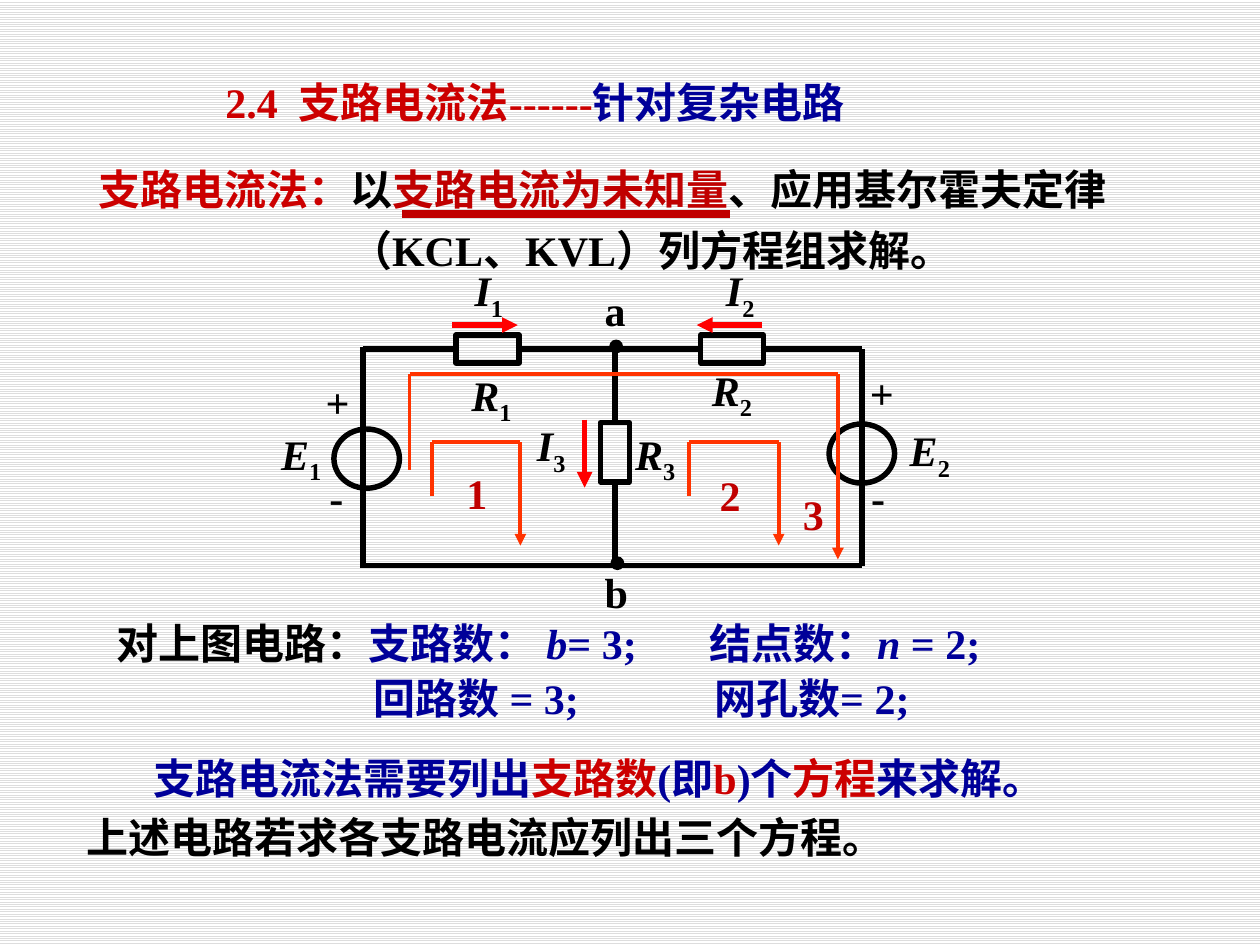
from lxml.etree import SubElement
from pptx import Presentation
from pptx.dml.color import RGBColor
from pptx.enum.dml import MSO_PATTERN
from pptx.enum.shapes import MSO_CONNECTOR, MSO_SHAPE
from pptx.enum.text import MSO_ANCHOR, PP_ALIGN
from pptx.oxml.ns import qn
from pptx.util import Inches, Pt

FONT = "Times New Roman"
BLACK = RGBColor(0x00, 0x00, 0x00)
WHITE = RGBColor(0xFF, 0xFF, 0xFF)
GREY = RGBColor(0xDD, 0xDD, 0xDD)
NAVY = RGBColor(0x00, 0x00, 0x99)
RED = RGBColor(0xCC, 0x00, 0x00)
DARK = RGBColor(0xC0, 0x00, 0x00)
ORANGE = RGBColor(0xFF, 0x33, 0x00)
BRIGHT = RGBColor(0xFF, 0x00, 0x00)
WIRE = 3.13


def add_text(slide, box, *paras, color=BLACK, align=PP_ALIGN.LEFT, wrap=True,
             inset=True, lines=None, before=0, anchor=MSO_ANCHOR.TOP,
             indents=(), tab=None):
    """Each paragraph is a list of (text, format) runs."""
    frame = slide.shapes.add_textbox(*map(Inches, box)).text_frame
    frame.word_wrap = wrap
    frame.vertical_anchor = anchor
    if not inset:
        frame.margin_left = frame.margin_right = 0
        frame.margin_top = frame.margin_bottom = 0
    for i, runs in enumerate(paras):
        para = frame.paragraphs[0] if i == 0 else frame.add_paragraph()
        para.alignment = align
        if lines:
            para.line_spacing = lines
        if i and before:
            para.space_before = Pt(before)
        props = para._p.get_or_add_pPr()
        if indents:
            props.set("marL", "0")
            props.set("indent", str(Inches(indents[i])))
        if tab:
            stops = SubElement(props, qn("a:tabLst"))
            SubElement(stops, qn("a:tab"), pos=str(Inches(tab)), algn="l")
        for words, form in runs:
            run = para.add_run()
            run.text = words
            font = run.font
            font.name, font.size, font.bold = FONT, Pt(24), True
            font.italic = form.get("italic", False)
            font.color.rgb = form.get("color", color)
            if form.get("sub"):
                run._r.get_or_add_rPr().set("baseline", "-25000")


def add_line(slide, x1, y1, x2, y2, color=BLACK, width=WIRE, arrow=False,
             start=None, end=None):
    """start and end are (shape, side) pairs to join."""
    line = slide.shapes.add_connector(
        MSO_CONNECTOR.STRAIGHT, *map(Inches, (x1, y1, x2, y2)))
    line.line.color.rgb = color
    line.line.width = Pt(width)
    if arrow:
        SubElement(line.line._get_or_add_ln(), qn("a:tailEnd"), type="triangle")
    SubElement(line._element.spPr, qn("a:effectLst"))
    if start:
        line.begin_connect(*start)
    if end:
        line.end_connect(*end)


def add_part(slide, kind, x, y, w, h, solid=False):
    """Place a circuit part by its centre."""
    part = slide.shapes.add_shape(
        kind, *map(Inches, (x - w / 2, y - h / 2, w, h)))
    part.shadow.inherit = False
    if solid:
        part.fill.solid()
        part.fill.fore_color.rgb = BLACK
        part.line.fill.background()
    else:
        part.fill.background()
        part.line.color.rgb = BLACK
        part.line.width = Pt(WIRE)
    return part


def add_loop(slide, x, y, w, short, long, name, dx, dy):
    """Mesh path: up the left, across, and down with an arrow."""
    add_line(slide, x + w, y, x, y, ORANGE, 2.25)
    add_line(slide, x + w, y, x + w, y + long, ORANGE, 2.25, arrow=True)
    add_line(slide, x, y, x, y + short, ORANGE, 2.25)
    add_text(slide, (x + dx, y + dy, 0.37, 0.5), [(name, {})], color=DARK,
             align=PP_ALIGN.CENTER, wrap=False)


def add_circuit(slide, x, y, w, h):
    mid, right, low = x + 2, x + w, y + h

    # Resistors
    rect = MSO_SHAPE.RECTANGLE
    r1 = add_part(slide, rect, x + 0.99, y, 0.5, 0.22)
    r2 = add_part(slide, rect, x + 2.93, y, 0.5, 0.22)
    r3 = add_part(slide, rect, mid, y + 0.82, 0.23, 0.47)

    # Wires
    add_line(slide, x, y, x + 0.74, y, end=(r1, 1))
    add_line(slide, x + 1.24, y, x + 2.68, y, start=(r1, 3), end=(r2, 1))
    add_line(slide, x + 3.18, y, right, y, start=(r2, 3))
    add_line(slide, mid, y, mid, y + 0.59, end=(r3, 0))
    add_line(slide, mid, y + 1.06, mid, low, start=(r3, 2))
    add_line(slide, x, y - 0.02, x, low + 0.02)
    add_line(slide, right, y, right, low)
    add_line(slide, x, low, right, low)

    # Sources and nodes
    for cx, cy in ((x + 0.03, y + 0.87), (right, y + 0.83)):
        add_part(slide, MSO_SHAPE.OVAL, cx, cy, 0.52, 0.47)
    for cx, cy in ((mid + 0.01, y - 0.02), (mid + 0.02, low - 0.02)):
        add_part(slide, MSO_SHAPE.OVAL, cx, cy, 0.11, 0.11, solid=True)
    for name, dy in (("a", -0.45), ("b", 1.79)):
        add_text(slide, (mid - 0.18, y + dy, 0.38, 0.38), [(name, {})],
                 wrap=False, lines=0.7)

    # Symbols with subscripts
    for name, sub, dx, dy, wide in (
            ("E", "1", -0.71, 0.63, 0.44), ("E", "2", 4.28, 0.6, 0.44),
            ("R", "1", 0.59, 0.16, 0.86), ("R", "2", 2.58, 0.12, 0.7),
            ("R", "3", 2.15, 0.63, 0.34), ("I", "1", 0.68, -0.67, 0.64),
            ("I", "2", 2.71, -0.67, 0.57), ("I", "3", 1.23, 0.56, 0.53)):
        add_text(slide, (x + dx, y + dy, wide, 0.4),
                 [(name, {"italic": True}), (sub, {"sub": True})],
                 align=PP_ALIGN.CENTER, inset=False)

    # Polarity signs
    for sign, dx, dy in (("+", -0.4, 0.22), ("-", -0.41, 0.97),
                         ("+", 3.92, 0.15), ("-", 3.89, 0.97)):
        add_text(slide, (x + dx, y + dy, 0.4, 0.4), [(sign, {})],
                 align=PP_ALIGN.CENTER, inset=False)

    # Branch currents
    for x1, y1, x2, y2 in ((0.71, -0.19, 1.23, -0.19),
                           (3.17, -0.19, 2.65, -0.19),
                           (1.76, 0.56, 1.76, 1.1)):
        add_line(slide, x + x1, y + y1, x + x2, y + y2, BRIGHT, 3, arrow=True)

    # Loops
    add_loop(slide, x + 0.55, y + 0.74, 0.7, 0.43, 0.82, "1", 0.17, 0.15)
    add_loop(slide, x + 2.59, y + 0.74, 0.71, 0.43, 0.82, "2", 0.14, 0.17)
    add_loop(slide, x + 0.37, y + 0.2, 3.4, 0.76, 1.47, "3", 3.02, 0.86)


def add_intro(slide, x, y, w):
    # Title
    add_text(slide, (x + 1.01, y, 6.61, 0.7),
             [("2.4  支路电流法------", {"color": RED}),
              ("针对复杂电路", {"color": NAVY})], anchor=MSO_ANCHOR.BOTTOM)
    # Definition with its underline
    add_text(slide, (x, y + 0.81, w, 1.07),
             [("支路电流法：", {"color": RED}), ("以", {}),
              ("支路电流为未知量", {"color": DARK}), ("、应用基尔霍夫定律", {})],
             [("（KCL、KVL）列方程组求解。", {})], lines=1.2, indents=(0, 2))
    add_line(slide, x + 2.51, y + 1.34, x + 5.11, y + 1.34, DARK, 4.5)


def add_notes(slide, x, y, w):
    slant, red = {"italic": True}, {"color": RED}
    # Counts
    add_text(slide, (x + 0.24, y, 7.6, 0.5),
             [("对上图电路：", {"color": BLACK}), ("支路数： ", {}), ("b", slant),
              ("= 3;\t结点数：", {}), ("n", slant), (" = 2;", {})],
             color=NAVY, tab=4.7)
    add_text(slide, (x + 2.28, y + 0.4, 6.46, 0.55),
             [("回路数 = 3;\t网孔数= 2;", {})], color=NAVY, lines=1.1, tab=2.7)
    # Conclusion
    add_text(slide, (x, y + 1.03, w, 1.02),
             [("支路电流法需要列出", {}), ("支路数", red), ("(即", {}), ("b", red),
              (")个", {}), ("方程", red), ("来求解。", {})],
             [("上述电路若求各支路电流应列出三个方程。", {"color": BLACK})],
             color=NAVY, lines=1.1, before=2.4, indents=(0.53, 0))


def main():
    deck = Presentation()
    deck.slide_width, deck.slide_height = Inches(10), Inches(7.5)
    slide = deck.slides.add_slide(deck.slide_layouts[6])
    fill = slide.background.fill
    fill.patterned()
    fill.pattern = MSO_PATTERN.LIGHT_HORIZONTAL
    fill.fore_color.rgb, fill.back_color.rgb = GREY, WHITE
    add_intro(slide, 0.68, 0.36, 9.05)
    add_circuit(slide, 2.88, 2.77, 3.96, 1.72)
    add_notes(slide, 0.59, 4.85, 8.74)
    deck.save("out.pptx")


if __name__ == "__main__":
    main()
